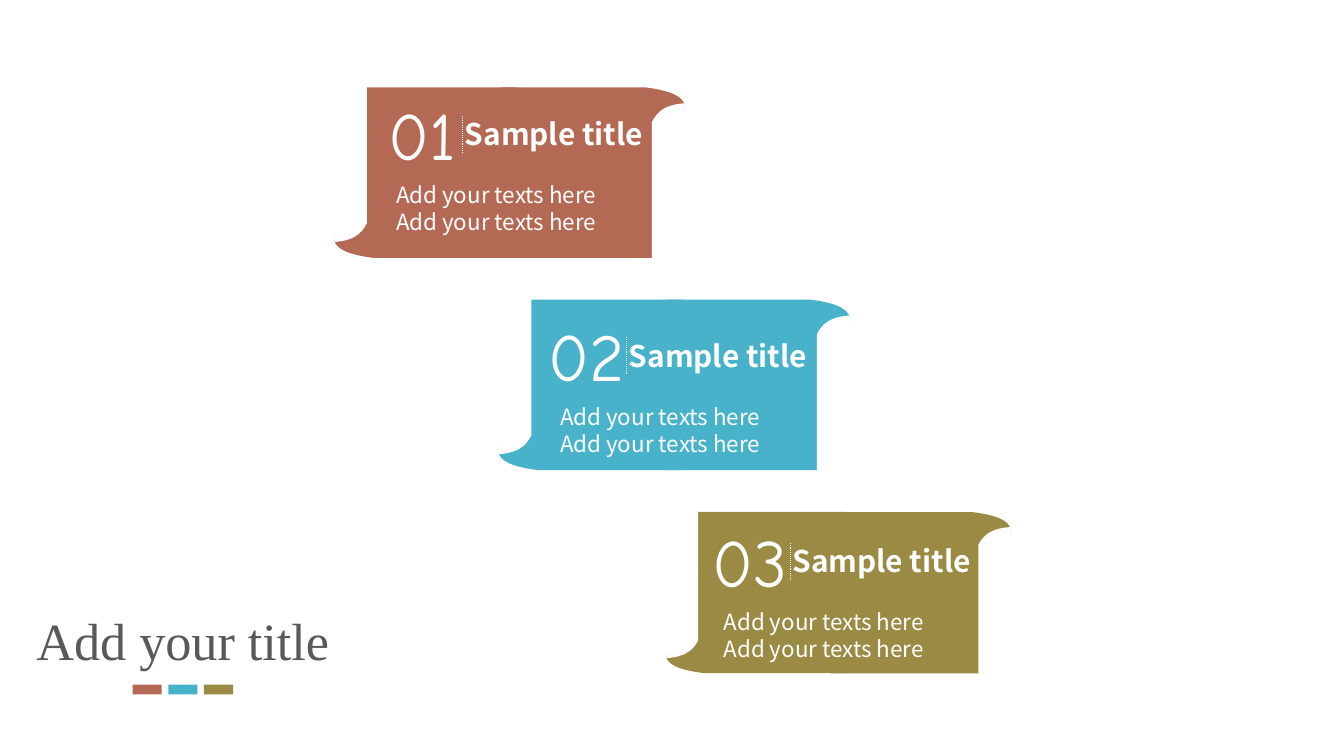
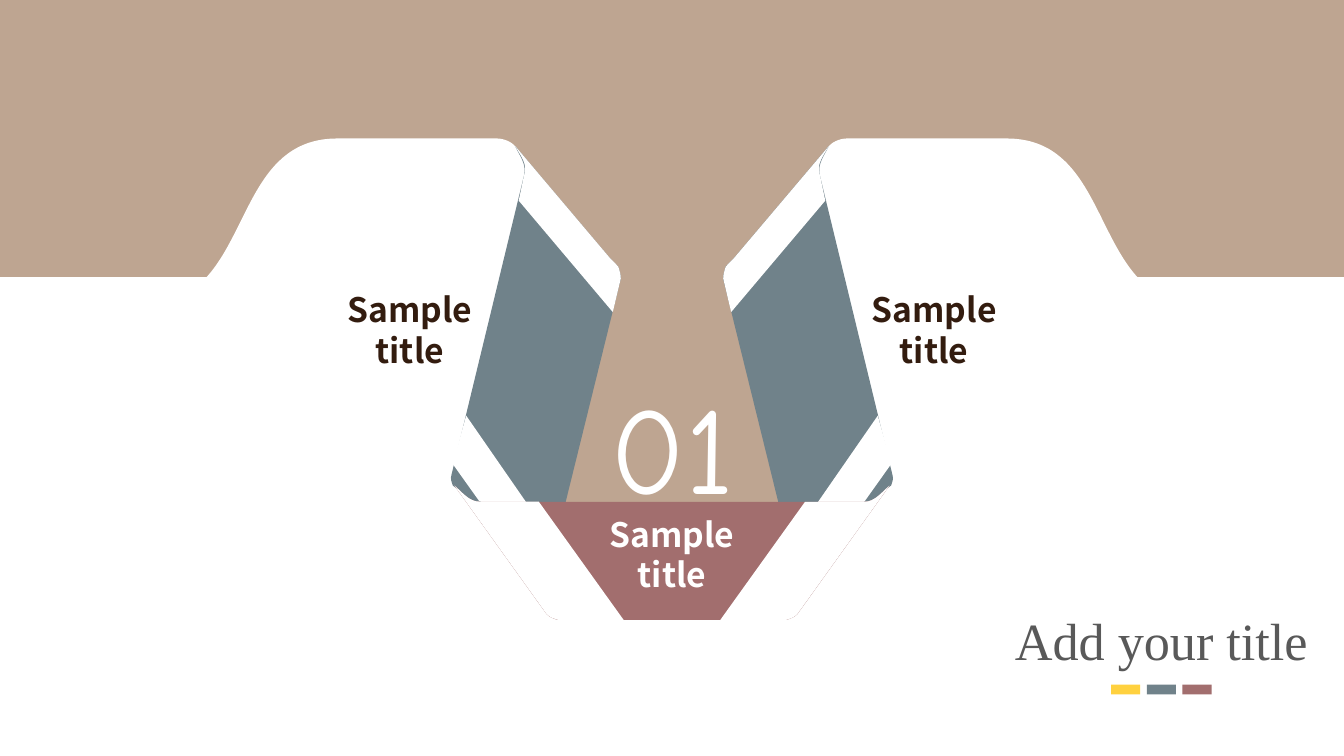
from math import cos, radians, sin

from lxml import etree
from pptx import Presentation
from pptx.dml.color import RGBColor
from pptx.enum.dml import MSO_LINE
from pptx.enum.shapes import MSO_CONNECTOR, MSO_SHAPE as SHAPE
from pptx.enum.text import MSO_AUTO_SIZE as AUTO_SIZE, PP_ALIGN as ALIGN
from pptx.oxml.ns import qn
from pptx.util import Pt

WHITE = RGBColor(0xFF, 0xFF, 0xFF)
GREY = RGBColor(0x59, 0x59, 0x59)
BROWN = RGBColor(0x33, 0x1C, 0x0F)
TERRACOTTA = RGBColor(0xB4, 0x69, 0x54)
TURQUOISE = RGBColor(0x49, 0xB2, 0xCB)
OLIVE = RGBColor(0x9B, 0x8A, 0x43)
SAND = RGBColor(0xBE, 0xA5, 0x91)
YELLOW = RGBColor(0xFF, 0xD1, 0x3F)
SLATE = RGBColor(0x70, 0x82, 0x8A)
ROSE = RGBColor(0xA2, 0x6E, 0x6E)

SANS, HAND, SERIF = "Noto Sans CJK KR", "Comic Neue", "Times New Roman"
SLIDE_W, SLIDE_H = 720, 405

# Outlines: a pair is a corner, six numbers are a Bezier curve.
# Left half of a ribbon, in a ribbon of RIBBON_W by RIBBON_H
RIBBON_W, RIBBON_H = 194.4, 91.4
RIBBON_HALF = [(101.5, 91.4), (24.5, 91.4), (7.9, 89.3, 5, 85.7, 3.6, 82.8),
               (3.6, 57.6, 0, 25.2, 0, 0), (101.5, 0)]
RIBBON_CURL = [(-2.2, -6.5), (3.6, 82.8), (13.7, 82.1, 18, 78.5, 20.9, 72.7),
               (20.9, 0), (15.8, -12.2, 6.5, -11.5, 3.6, -12.2),
               (-0.7, -13.7, -2.9, -12.2, -2.2, -6.5)]

# Left side of the folded band, in a figure FOLD_W wide
FOLD_W = 500
SHOULDER = [(165.8, 3.8), (216.9, 64.2), (221.2, 68.6),
            (221.9, 70.7, 222.6, 72.9, 222.6, 75)]
BASE_TOP_CURVE = (137.7, 189.5, 141.3, 194.6, 147, 194.6)
BASE_FOOT_CURVE = (186.6, 257.2, 184.5, 256.5, 183, 255)
TAB = [(156.4, 0), (160, 0, 165, 2.1, 166.5, 5),
       (169.4, 10, 173.7, 15.1, 172.2, 20.8), (158.6, 75), (0, 75),
       (23.7, 49.8, 26.1, 0, 70.7, 0)]
BAND = SHOULDER + [(193.1, 194.6), (147, 194.6),
                   (141.3, 194.6, 137.7, 189.5, 132.6, 185.9),
                   (131.9, 183.8, 131.2, 182.3, 131.9, 180.2), (170.8, 19.6),
                   (172.2, 13.8, 168.6, 9.5, 165.8, 3.8)]
STRIPE = [(139.8, 148.5), (172.2, 195.3), (147, 194.6), (132.6, 174.4)]
FOLD = SHOULDER + [(218.3, 93), (167.9, 33.3), (170.8, 19.6),
                   (173, 13.8, 168.6, 8.8, 165.8, 3.8)]
BASE_HALF = [(188.8, 257.9), BASE_FOOT_CURVE, (179.4, 250), (133.4, 185.9),
             BASE_TOP_CURVE]
BASE_END = [(133.4, 185.9), BASE_TOP_CURVE, (178.7, 194.6), (224.1, 257.9),
            (188.8, 257.9), BASE_FOOT_CURVE, (179.4, 250)]
BANNER_HALF = [(0, 0), (0, 148.3), (331.5, 148.3), (299.9, 272.9)]


def pairs(step):
    return list(zip(step[::2], step[1::2]))


def transform(outline, move):
    return [sum((move(x, y) for x, y in pairs(step)), ()) for step in outline]


def mirror(outline, width):
    return transform(outline, lambda x, y: (width - x, y))


def backwards(outline):
    ends = [step[-2:] for step in outline]
    steps = [ends[-1]]
    for step, end in list(zip(outline[1:], ends))[::-1]:
        steps.append((*step[2:4], *step[:2], *end) if len(step) == 6 else end)
    return steps


def symmetric(half, width):
    return half + backwards(mirror(half, width))


def turn(x, y, degrees):
    c, s = cos(radians(degrees)), sin(radians(degrees))
    return x * c - y * s, x * s + y * c


def paint(shape, color):
    shape.shadow.inherit = False
    shape.fill.solid()
    shape.fill.fore_color.rgb = color
    shape.line.fill.background()


def add_outline(slide, left, top, outline, color, rotation=0):
    """Draw an outline as it shows, in a frame turned by rotation."""
    level = transform(outline, lambda x, y: turn(left + x, top + y, -rotation))
    corners = [(Pt(x), Pt(y)) for step in level for x, y in pairs(step)]
    builder = slide.shapes.build_freeform(*corners[0], scale=1.0)
    builder.add_line_segments(corners[1:], close=True)
    shape = builder.convert_to_shape()
    paint(shape, color)

    # Join each three segments that stand for a curve
    segments = iter(list(shape._element.iter(qn("a:lnTo"))))
    for step in level[1:]:
        first = next(segments)
        if len(step) == 6:
            first.tag = qn("a:cubicBezTo")
            for _ in range(2):
                extra = next(segments)
                first.append(extra[0])
                extra.getparent().remove(extra)

    # Turn the frame back around its own centre
    if rotation:
        half_w, half_h = shape.width / 2, shape.height / 2
        x, y = turn(shape.left + half_w, shape.top + half_h, rotation)
        shape.left, shape.top = round(x - half_w), round(y - half_h)
        shape.rotation = rotation


def add_text(slide, box, lines, font, size, color, bold=False, align=ALIGN.CENTER, wrap=True):
    frame = slide.shapes.add_textbox(*map(Pt, box)).text_frame
    frame.word_wrap = wrap
    frame.auto_size = AUTO_SIZE.SHAPE_TO_FIT_TEXT
    frame.text = "\n".join(lines)
    for paragraph in frame.paragraphs:
        paragraph.alignment = align
        for run in paragraph.runs:
            run.font.name, run.font.size, run.font.bold = font, Pt(size), bold
            run.font.color.rgb = color


def add_title(slide, left, top, colors):
    """Slide title with three swatches below it."""
    for i, color in enumerate(colors):
        swatch = slide.shapes.add_shape(SHAPE.RECTANGLE, Pt(left + 69.7 + 19.1 * i),
                                        Pt(top + 44.4), Pt(15.6), Pt(5.2))
        paint(swatch, color)
    add_text(slide, (left, top, 193, 41), ["Add your title"], SERIF, 28, GREY)


def add_ribbon(slide, left, top, width, height, color):
    """Two halves, the right one turned by 180 degrees; white curls cut the ends."""
    sx, sy = width / RIBBON_W, height / RIBBON_H
    for outline, fill, rotation in ((RIBBON_HALF, color, 0), (RIBBON_CURL, WHITE, 270)):
        add_outline(slide, left, top, transform(outline, lambda x, y: (x * sx, y * sy)),
                    fill, rotation)
    for outline, fill, rotation in ((RIBBON_HALF, color, 180), (RIBBON_CURL, WHITE, 90)):
        turned = transform(outline, lambda x, y: (width - x * sx, height - y * sy))
        add_outline(slide, left, top, turned, fill, rotation)


def add_ribbon_text(slide, left, top, number):
    add_text(slide, (left, top, 65.5, 50.4), [number], HAND, 36, WHITE)
    add_text(slide, (left + 48.3, top + 12.3, 110.2, 26.6), ["Sample title"],
             SANS, 16, WHITE, bold=True, align=ALIGN.LEFT, wrap=False)
    add_text(slide, (left + 11.4, top + 47.4, 136, 36), ["Add your texts here"] * 2,
             SANS, 12, WHITE, align=ALIGN.LEFT)
    x = Pt(left + 54.2)
    divider = slide.shapes.add_connector(MSO_CONNECTOR.STRAIGHT, x, Pt(top + 15.8),
                                         x, Pt(top + 35.2))
    divider.line.color.rgb = WHITE
    divider.line.width = Pt(0.5)
    divider.line.dash_style = MSO_LINE.ROUND_DOT
    etree.SubElement(divider._element.spPr, qn("a:effectLst"))


def add_folded_band(slide, left, top):
    """Symmetric folded band with its three labels and number."""
    def add_pair(outline, color, rotation=0):
        add_outline(slide, left, top, outline, color, rotation)
        add_outline(slide, left, top, mirror(outline, FOLD_W), color, (360 - rotation) % 360)

    def add_label(x, y, color):
        add_text(slide, (left + x, top + y, 85, 50.4), ["Sample", "title"],
                 SANS, 18, color, bold=True, wrap=False)

    # Upper tabs and their labels
    add_pair(TAB, WHITE)
    for x in (67.1, FOLD_W - 67.1 - 85):
        add_label(x, 77.2, BROWN)

    # Sides
    add_pair(BAND, SLATE, 283.8)
    add_pair(STRIPE, WHITE, 284.7)
    add_pair(FOLD, WHITE, 229.8)

    # Base
    add_outline(slide, left, top, symmetric(BASE_HALF, FOLD_W), ROSE, 180)
    add_pair(BASE_END, WHITE, 54.2)
    add_text(slide, (left + 205.4, top + 121.1, 90, 86.4), ["01"],
             HAND, 66, WHITE, wrap=False)
    add_label(207.5, 197.4, WHITE)


def build_ribbon_slide(slide):
    ribbons = [
        ((353.5, 274.3, 191.1, 86.4), OLIVE, "03", (369.2, 275)),
        ((175.7, 46.8, 194.4, 91.4), TERRACOTTA, "01", (193.7, 46.3)),
        ((263.7, 160.5, 194.8, 91.4), TURQUOISE, "02", (281.6, 164.9)),
    ]
    for box, color, _, _ in ribbons:
        add_ribbon(slide, *box, color)
    for _, _, number, corner in ribbons:
        add_ribbon_text(slide, *corner, number)
    add_title(slide, 1.4, 322.4, [TERRACOTTA, TURQUOISE, OLIVE])


def build_fold_slide(slide):
    add_outline(slide, 0, 0, symmetric(BANNER_HALF, SLIDE_W), SAND)
    add_title(slide, 525.6, 322.4, [YELLOW, SLATE, ROSE])
    add_folded_band(slide, 110, 74.2)


def main():
    deck = Presentation()
    deck.slide_width, deck.slide_height = Pt(SLIDE_W), Pt(SLIDE_H)
    for build in (build_ribbon_slide, build_fold_slide):
        build(deck.slides.add_slide(deck.slide_layouts[6]))
    deck.save("out.pptx")


if __name__ == "__main__":
    main()
